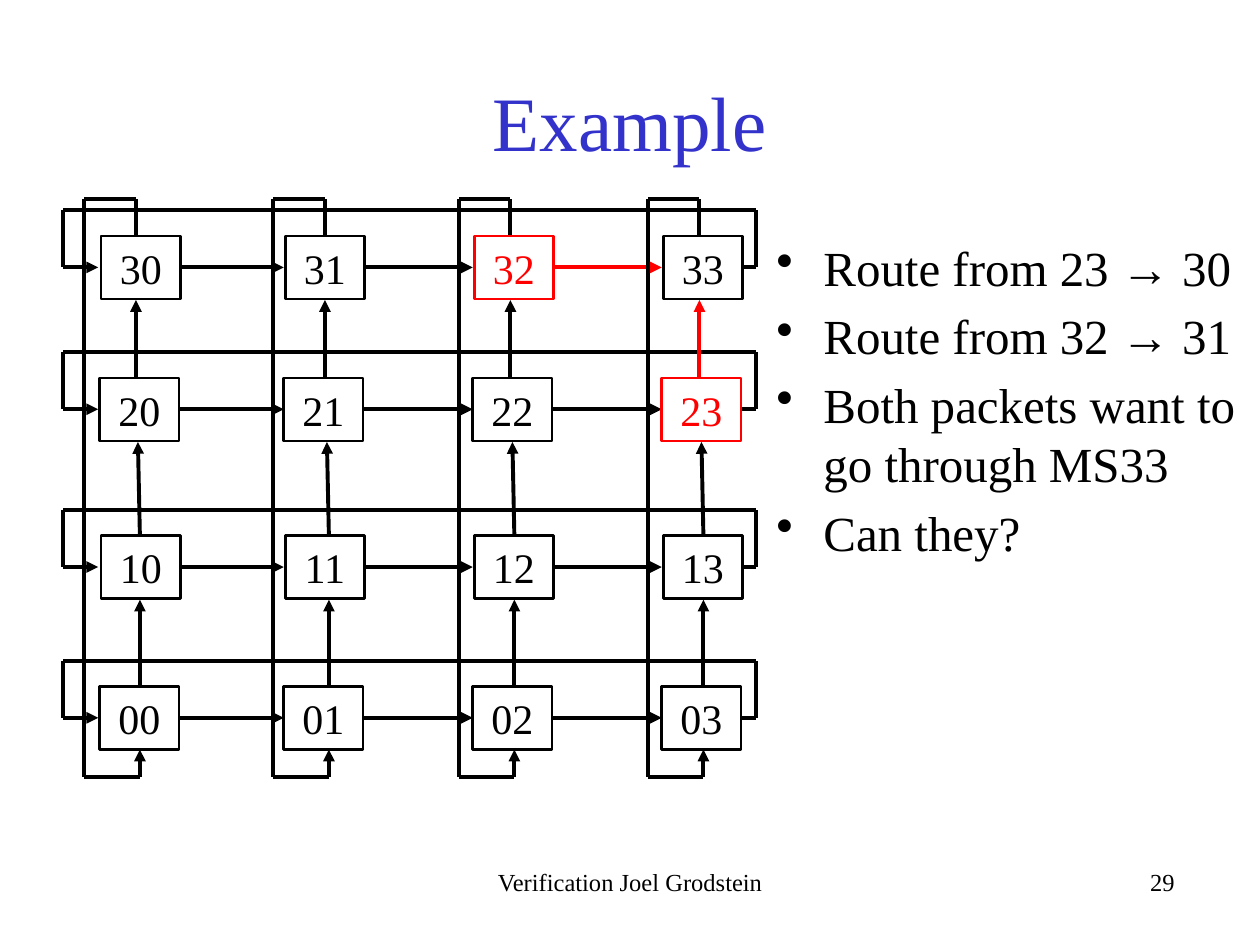
from lxml.etree import SubElement
from pptx import Presentation
from pptx.dml.color import RGBColor
from pptx.enum.shapes import MSO_CONNECTOR, MSO_SHAPE
from pptx.enum.text import MSO_ANCHOR, PP_ALIGN
from pptx.oxml.ns import qn
from pptx.util import Cm, Pt

BLACK = RGBColor(0, 0, 0)
WHITE = RGBColor(255, 255, 255)
RED = RGBColor(255, 0, 0)
BLUE = RGBColor(0x33, 0x33, 0xCC)
FONT = "Times New Roman"

TITLE = "Example"
POINTS = [
    "Route from 23 → 30",
    "Route from 32 → 31",
    "Both packets want to go through MS33",
    "Can they?",
]
FOOTER = "Verification Joel Grodstein"
NUMBER = "29"

# Mesh of stations, in centimetres; row 0 is the lowest
LEFTS = [2.01, 5.72, 9.53, 13.34]
TOPS = [13.84, 10.8, 7.62, 4.76]
SHIFTS = [0, 0.03, 0, 0.03]
WIDE, HIGH = 1.6, 1.27
LANES = [2.74, 6.55, 10.29, 14.1]
RISES = [(0.08, 0.08), (0.08, 0.04), (0, 0)]
RING_LEFT, RING_RIGHT = 1.27, 15.24
RING_TOP, RING_LOW = 4.01, 15.67
RED_BOXES = {"23", "32"}
RED_ACROSS = {"32"}
RED_UP = {"23"}

deck = Presentation()
deck.slide_width, deck.slide_height = Cm(25.4), Cm(19.05)
slide = deck.slides.add_slide(deck.slide_layouts[6])


def style(para, size, color, align):
    """Format one paragraph and its runs."""
    para.alignment = align
    for run in para.runs:
        run.font.name = FONT
        run.font.size = Pt(size)
        run.font.color.rgb = color


def add_text(lines, place, size, color=BLACK, align=PP_ALIGN.LEFT,
             anchor=MSO_ANCHOR.TOP):
    """Add a wrapped text box and return its paragraphs."""
    frame = slide.shapes.add_textbox(*map(Cm, place)).text_frame
    frame.word_wrap = True
    frame.vertical_anchor = anchor
    frame.text = "\n".join(lines)
    for para in frame.paragraphs:
        style(para, size, color, align)
    return frame.paragraphs


def add_bullet(para):
    """Give a paragraph a hanging bullet and a gap above."""
    props = para._p.get_or_add_pPr()
    props.set("marL", str(Cm(0.95)))
    props.set("indent", str(-Cm(0.95)))
    gap = SubElement(props, qn("a:spcBef"))
    SubElement(gap, qn("a:spcPct")).set("val", "20000")
    SubElement(props, qn("a:buChar")).set("char", "•")


def add_path(points, color=BLACK, arrow=True):
    """Join points with straight lines, with an arrowhead at the end."""
    for start, end in zip(points, points[1:]):
        wire = slide.shapes.add_connector(
            MSO_CONNECTOR.STRAIGHT, *map(Cm, start + end))
        wire.line.color.rgb = color
        wire.line.width = Pt(2.25)
        if arrow and end == points[-1]:
            SubElement(wire.line._ln, qn("a:tailEnd")).set("type", "triangle")
        SubElement(wire._element.spPr, qn("a:effectLst"))


def add_row(row):
    """Draw the arrows along a row and its ring back to the left."""
    mid = TOPS[row] + 0.63
    for col in range(3):
        color = RED if f"{row}{col}" in RED_ACROSS else BLACK
        add_path([(LEFTS[col] + WIDE, mid), (LEFTS[col + 1], mid)], color)
    add_path([(LEFTS[3] + WIDE - 0.23, mid), (RING_RIGHT, mid),
              (RING_RIGHT, mid - 1.15), (RING_LEFT, mid - 1.15),
              (RING_LEFT, mid), (LEFTS[0] - 0.03, mid)])


def add_column(col):
    """Draw the arrows up a column and its ring back to the bottom."""
    lane = LANES[col]
    back, foot = lane - 1.04, lane + 0.08
    for row, (low, high) in enumerate(RISES):
        color = RED if f"{row}{col}" in RED_UP else BLACK
        add_path([(lane + low, TOPS[row]),
                  (lane + high, TOPS[row + 1] + HIGH + 0.02)], color)
    add_path([(lane, TOPS[3]), (lane, RING_TOP), (back, RING_TOP),
              (back, RING_LOW), (foot, RING_LOW), (foot, TOPS[0] + HIGH)])


def add_station(row, col):
    """Draw one numbered box of the mesh."""
    name = f"{row}{col}"
    color = RED if name in RED_BOXES else BLACK
    place = (LEFTS[col] + SHIFTS[row], TOPS[row], WIDE, HIGH)
    box = slide.shapes.add_shape(MSO_SHAPE.RECTANGLE, *map(Cm, place))
    box.shadow.inherit = False
    box.fill.solid()
    box.fill.fore_color.rgb = WHITE
    box.line.color.rgb = color
    box.line.width = Pt(1.5)
    box.text_frame.vertical_anchor = MSO_ANCHOR.TOP
    box.text_frame.text = name
    style(box.text_frame.paragraphs[0], 24, color, PP_ALIGN.CENTER)


add_text([TITLE], (1.9, 0.85, 21.6, 3.17), 44, BLUE, PP_ALIGN.CENTER,
         MSO_ANCHOR.MIDDLE)
for row in range(4):
    add_row(row)
for col in range(4):
    add_column(col)
for row in range(4):
    for col in range(4):
        add_station(row, col)
for para in add_text(POINTS, (15.4, 4.66, 9.93, 6.98), 28):
    add_bullet(para)
add_text([FOOTER], (8.68, 17.35, 8.05, 1.27), 14, align=PP_ALIGN.CENTER)
add_text([NUMBER], (15.88, 17.35, 8.05, 1.27), 14, align=PP_ALIGN.RIGHT)

deck.save("out.pptx")
